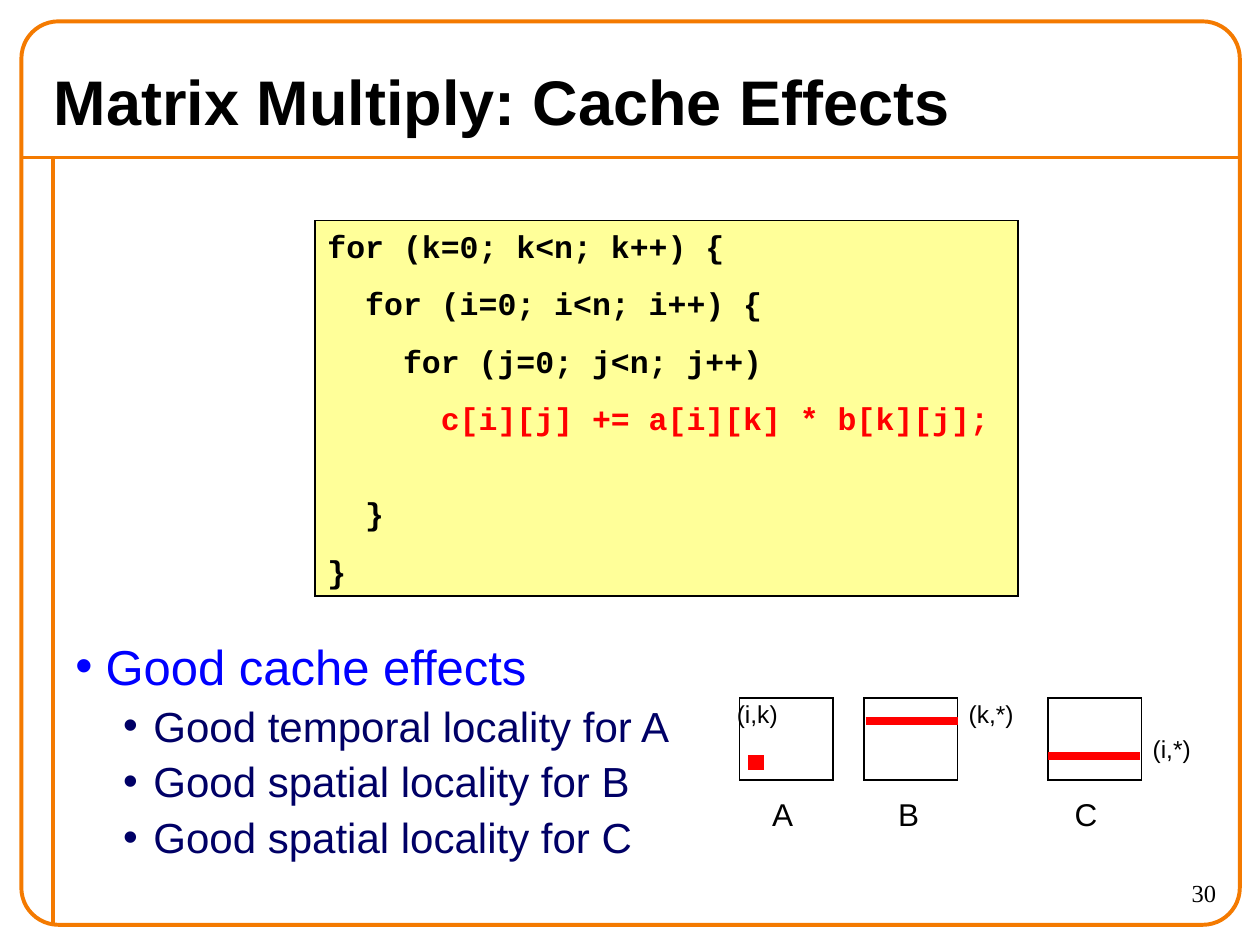
import pptx
import pptx.dml.color
import pptx.enum.shapes
import pptx.enum.text
import pptx.util
from lxml import etree
from pptx.oxml.ns import qn
from pptx.util import Inches

ORANGE, RED, BLACK, WHITE = "F47A00", "FF0000", "000000", "FFFFFF"
BLUE, NAVY, CREAM = "0000FF", "000066", "FFFF99"


def color(hex_code):
    return pptx.dml.color.RGBColor.from_string(hex_code)


class SlideBuilder:
    body_font = "Arial"
    code_font = "Courier New"
    number_font = "Times New Roman"

    def __init__(self, slide):
        self.slide = slide

    def format(self, paragraph, size, hex_code=BLACK, font=body_font, bold=False):
        paragraph.font.size = pptx.util.Pt(size)
        paragraph.font.name = font
        paragraph.font.bold = bold
        paragraph.font.color.rgb = color(hex_code)

    def box(self, left, top, width, height, fill=None, line=BLACK, weight=1, corner=None):
        """Draw a sharp-edged rectangle, rounded when a corner ratio is given."""
        kinds = pptx.enum.shapes.MSO_SHAPE
        kind = kinds.RECTANGLE if corner is None else kinds.ROUNDED_RECTANGLE
        shape = self.slide.shapes.add_shape(
            kind, Inches(left), Inches(top), Inches(width), Inches(height))
        shape.shadow.inherit = False
        if corner is not None:
            shape.adjustments[0] = corner
        if fill:
            shape.fill.solid()
            shape.fill.fore_color.rgb = color(fill)
        else:
            shape.fill.background()
        shape.line.color.rgb = color(line)
        shape.line.width = pptx.util.Pt(weight)
        outline = shape._element.spPr.find(qn("a:ln"))
        etree.SubElement(outline, qn("a:miter"), lim="800000")
        return shape

    def line(self, x1, y1, x2, y2, hex_code, weight):
        connector = self.slide.shapes.add_connector(
            pptx.enum.shapes.MSO_CONNECTOR.STRAIGHT,
            Inches(x1), Inches(y1), Inches(x2), Inches(y2))
        connector.line.color.rgb = color(hex_code)
        connector.line.width = pptx.util.Pt(weight)
        properties = connector._element.spPr
        etree.SubElement(properties, qn("a:effectLst"))

    def text(self, words, left, top, width, height, size, wrap=False,
             align=pptx.enum.text.PP_ALIGN.LEFT, **style):
        textbox = self.slide.shapes.add_textbox(
            Inches(left), Inches(top), Inches(width), Inches(height))
        frame = textbox.text_frame
        frame.word_wrap = wrap
        frame.text = words
        paragraph = frame.paragraphs[0]
        paragraph.alignment = align
        self.format(paragraph, size, **style)
        return frame

    def bullet(self, paragraph, indent, hex_code):
        properties = paragraph._p.get_or_add_pPr()
        properties.set("marL", str(Inches(indent)))
        properties.set("indent", str(Inches(-0.24)))
        bullet_color = etree.SubElement(properties, qn("a:buClr"))
        etree.SubElement(bullet_color, qn("a:srgbClr"), val=hex_code)
        etree.SubElement(properties, qn("a:buFont"), typeface=self.body_font)
        etree.SubElement(properties, qn("a:buChar"), char="•")

    def bullets(self, heading, points, left, top, width, height):
        """Write a heading bullet with second-level points below it."""
        frame = self.text(heading, left, top, width, height, 28, wrap=True)
        first = frame.paragraphs[0]
        self.bullet(first, 0.24, BLUE)
        self.format(first, 28, BLUE)
        for point in points:
            paragraph = frame.add_paragraph()
            paragraph.text = point
            paragraph.level = 1
            paragraph.space_before = pptx.util.Pt(3)
            self.bullet(paragraph, 0.62, NAVY)
            self.format(paragraph, 24, NAVY)

    def code(self, lines, highlighted, left, top, width, height):
        """Write a code panel with one red line and a gap after it."""
        frame = self.box(left, top, width, height, CREAM).text_frame
        frame.word_wrap = True
        frame.vertical_anchor = pptx.enum.text.MSO_ANCHOR.TOP
        frame.text = "\n".join(lines)
        for index, paragraph in enumerate(frame.paragraphs):
            paragraph.alignment = pptx.enum.text.PP_ALIGN.LEFT
            paragraph.line_spacing = pptx.util.Pt(21.5)
            if index:
                gap = 33 if index == highlighted + 1 else 11.4
                paragraph.space_before = pptx.util.Pt(gap)
            hex_code = RED if index == highlighted else BLACK
            self.format(paragraph, 18, hex_code, self.code_font, bold=True)


def main():
    presentation = pptx.Presentation()
    presentation.slide_width = Inches(10)
    presentation.slide_height = Inches(7.5)
    builder = SlideBuilder(presentation.slides.add_slide(presentation.slide_layouts[6]))

    # Frame
    builder.line(0.17, 1.25, 9.83, 1.25, ORANGE, 2.25)
    builder.line(0.42, 1.25, 0.42, 7.33, ORANGE, 2.25)
    builder.box(0.17, 0.17, 9.67, 7.17, line=ORANGE, weight=2.25, corner=0.041)
    builder.text("30", 8.75, 6.92, 1, 0.42, 14, wrap=True,
                 align=pptx.enum.text.PP_ALIGN.RIGHT, font=builder.number_font)

    title = builder.text("Matrix Multiply: Cache Effects", 0.33, 0.42, 9.33, 0.75, 36,
                         wrap=True, bold=True)
    title.vertical_anchor = pptx.enum.text.MSO_ANCHOR.MIDDLE

    builder.bullets(
        "Good cache effects",
        ["Good temporal locality for A",
         "Good spatial locality for B",
         "Good spatial locality for C"],
        0.5, 5, 5, 2.33)

    loops = [
        "for (k=0; k<n; k++) {",
        "  for (i=0; i<n; i++) {",
        "    for (j=0; j<n; j++)",
        "      c[i][j] += a[i][k] * b[k][j];",
        "  }",
        "}",
    ]
    builder.code(loops, 3, 2.5, 1.75, 5.58, 2.98)

    # Access patterns: matrix left, name left, index label and its place
    matrix_width = 0.74
    matrices = [
        ("A", 5.87, 6.03, "(i,k)", 5.75, 5.5),
        ("B", 6.86, 7.03, "(k,*)", 7.59, 5.5),
        ("C", 8.32, 8.43, "(i,*)", 9.05, 5.78),
    ]
    for name, left, name_left, index, index_left, index_top in matrices:
        builder.box(left, 5.54, matrix_width, 0.65, WHITE)
        builder.text(name, name_left, 6.26, 0.38, 0.4, 18)
        builder.text(index, index_left, index_top, 0.6, 0.33, 14)
    builder.box(5.97, 6.02, 0.06, 0.06, RED, RED, 4.5)
    for row_left, row_top in [(6.87, 5.72), (8.32, 6)]:
        builder.line(row_left, row_top, row_left + 0.73, row_top, RED, 4.5)

    presentation.save("out.pptx")


if __name__ == "__main__":
    main()
